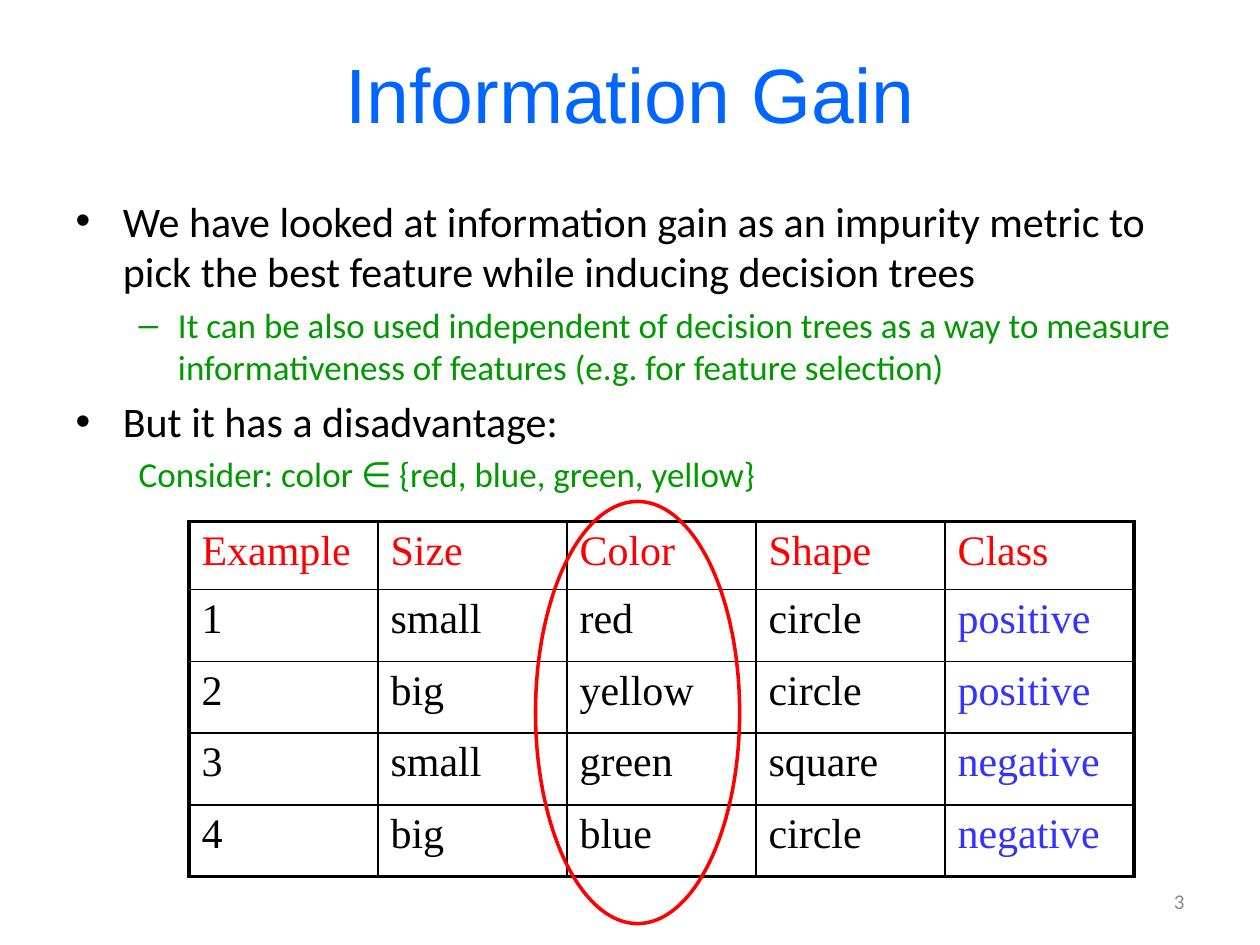
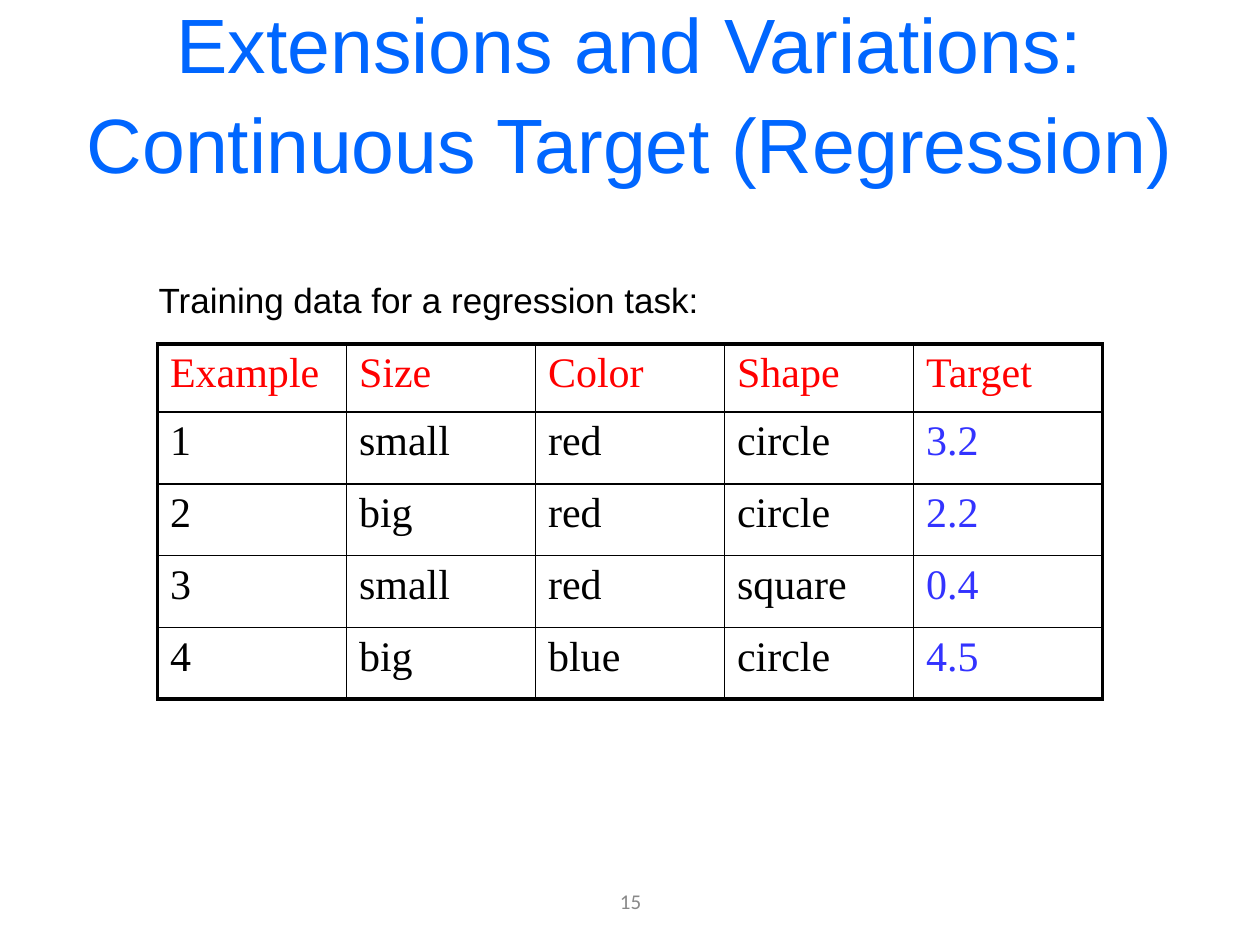
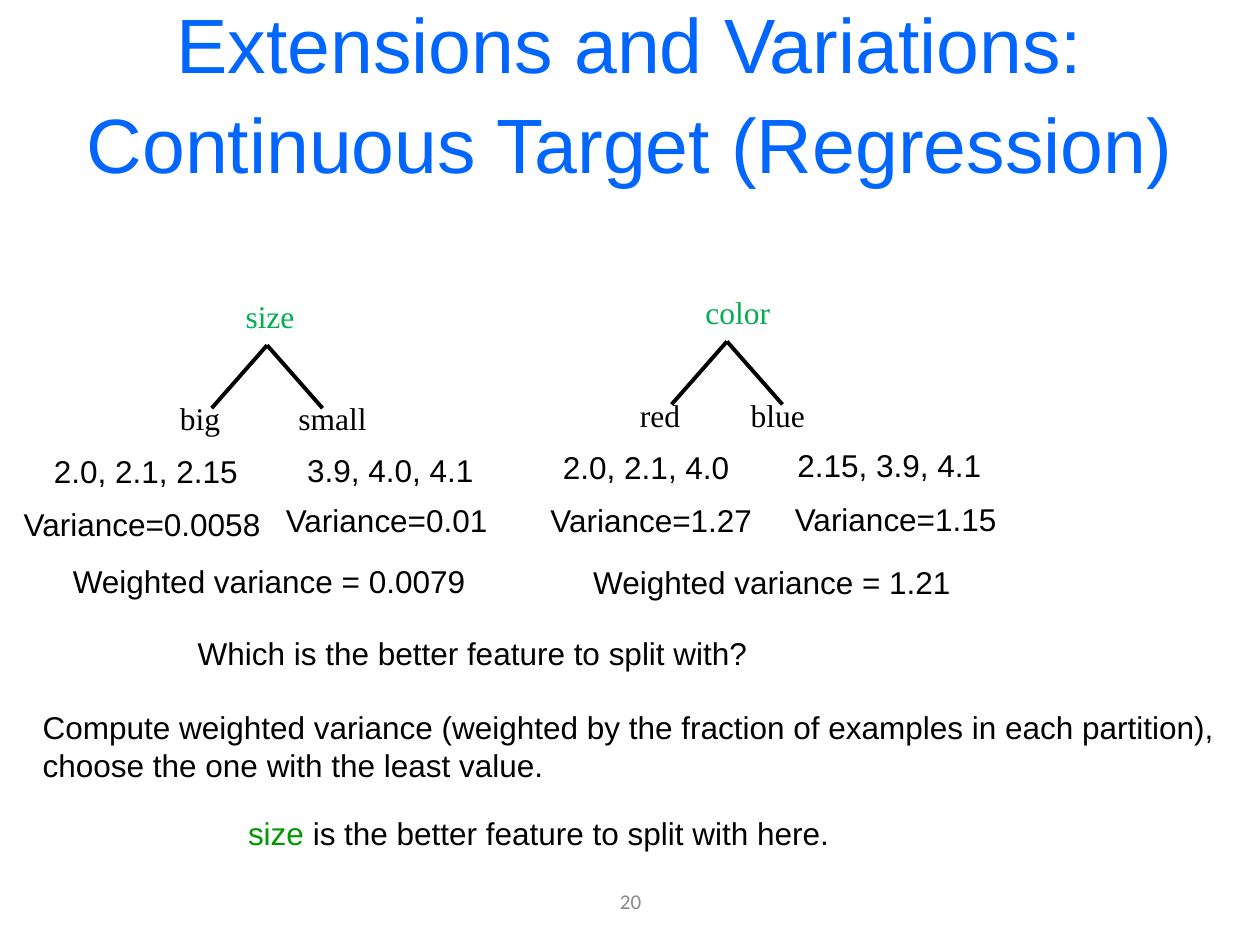
from dataclasses import dataclass

from lxml.etree import SubElement
from pptx import Presentation
from pptx.dml.color import RGBColor
from pptx.enum.shapes import MSO_CONNECTOR, MSO_SHAPE
from pptx.enum.text import MSO_ANCHOR, MSO_AUTO_SIZE, PP_ALIGN
from pptx.oxml import parse_xml
from pptx.oxml.ns import nsdecls, qn
from pptx.util import Inches, Pt


@dataclass(frozen=True)
class Theme:
    title_blue: RGBColor = RGBColor(0x00, 0x66, 0xFF)
    black: RGBColor = RGBColor(0x00, 0x00, 0x00)
    detail_green: RGBColor = RGBColor(0x00, 0x99, 0x00)
    feature_green: RGBColor = RGBColor(0x00, 0xB0, 0x50)
    red: RGBColor = RGBColor(0xFF, 0x00, 0x00)
    outcome_blue: RGBColor = RGBColor(0x33, 0x33, 0xFF)
    number_grey: RGBColor = RGBColor(0x89, 0x89, 0x89)
    sans: str = "Arial"
    body: str = "Calibri"
    serif: str = "Times New Roman"
    title_size: int = 44
    large: int = 24
    medium: int = 20
    small: int = 18
    tiny: int = 12
    thick: float = 2.25
    thin: float = 1


THEME = Theme()
SLIDE_W, SLIDE_H = 10, 7.5
MARGIN = SLIDE_W * 0.05
COLUMN = SLIDE_W * 0.15


def style_runs(paragraph, font_name, size, color):
    for run in paragraph.runs:
        run.font.name = font_name
        run.font.size = Pt(size)
        run.font.color.rgb = color


def add_text(slide, text, left, top, width, height=0.4, font_name=THEME.sans,
             size=THEME.small, color=THEME.black):
    box = slide.shapes.add_textbox(*map(Inches, (left, top, width, height)))
    frame = box.text_frame
    frame.text = text
    frame.word_wrap = False
    frame.auto_size = MSO_AUTO_SIZE.SHAPE_TO_FIT_TEXT
    for paragraph in frame.paragraphs:
        style_runs(paragraph, font_name, size, color)
    return frame


deck = Presentation()
deck.slide_width, deck.slide_height = Inches(SLIDE_W), Inches(SLIDE_H)
content_layout, title_only_layout = deck.slide_layouts[1], deck.slide_layouts[5]

# Titles and page numbers
regression_title = "Extensions and Variations: Continuous Target (Regression)"
slides = []
for layout, heading, number, number_left, number_width, number_align in [
    (content_layout, "Information Gain", "3", 7.17, 2.33, PP_ALIGN.RIGHT),
    (title_only_layout, regression_title, "15", 3.42, 3.17, PP_ALIGN.CENTER),
    (title_only_layout, regression_title, "20", 3.42, 3.17, PP_ALIGN.CENTER),
]:
    slide = deck.slides.add_slide(layout)
    slides.append(slide)
    title = slide.shapes.title
    title.left, title.top = Inches(MARGIN), Inches(0.08)
    title.width, title.height = Inches(SLIDE_W - 2 * MARGIN), Inches(1.25)
    title.text_frame.text = heading
    title.text_frame.auto_size = MSO_AUTO_SIZE.NONE
    title.text_frame.vertical_anchor = MSO_ANCHOR.MIDDLE
    heading_line = title.text_frame.paragraphs[0]
    heading_line.alignment = PP_ALIGN.CENTER
    heading_line.line_spacing = 1.08
    style_runs(heading_line, THEME.sans, THEME.title_size, THEME.title_blue)

    page = add_text(slide, number, number_left, 6.95, number_width,
                    font_name=THEME.body, size=THEME.tiny, color=THEME.number_grey)
    page.auto_size = MSO_AUTO_SIZE.NONE
    page.word_wrap = True
    page.vertical_anchor = MSO_ANCHOR.MIDDLE
    page.paragraphs[0].alignment = number_align

gain_slide, training_slide, split_slide = slides

# Information gain: bullets
points = gain_slide.placeholders[1]
points.left, points.top = Inches(MARGIN), Inches(1.5)
points.width, points.height = Inches(SLIDE_W - 2 * MARGIN), Inches(5.67)
points.text_frame.text = "\n".join([
    "We have looked at information gain as an impurity metric to pick the best "
    "feature while inducing decision trees",
    "It can be also used independent of decision trees as a way to measure "
    "informativeness of features (e.g. for feature selection)",
    "But it has a disadvantage:",
    "Consider: color ∈ {red, blue, green, yellow}",
])
points.text_frame.auto_size = MSO_AUTO_SIZE.NONE
for point, level in zip(points.text_frame.paragraphs, (0, 1, 0, 1)):
    point.level = level
    style_runs(point, THEME.body, (THEME.large, THEME.medium)[level],
               (THEME.black, THEME.detail_green)[level])
points.text_frame.paragraphs[0].space_before = Pt(0)
consider = points.text_frame.paragraphs[-1]._p.get_or_add_pPr()
consider.set("marL", str(Inches(0.5)))
consider.set("indent", "0")
SubElement(consider, qn("a:buNone"))

# Example tables
color_rows = [
    ("Example", "Size", "Color", "Shape", "Class"),
    ("1", "small", "red", "circle", "positive"),
    ("2", "big", "yellow", "circle", "positive"),
    ("3", "small", "green", "square", "negative"),
    ("4", "big", "blue", "circle", "negative"),
]
target_rows = [
    ("Example", "Size", "Color", "Shape", "Target"),
    ("1", "small", "red", "circle", "3.2"),
    ("2", "big", "red", "circle", "2.2"),
    ("3", "small", "red", "square", "0.4"),
    ("4", "big", "blue", "circle", "4.5"),
]
for slide, rows, left, top in [
    (gain_slide, color_rows, COLUMN, 4.14),
    (training_slide, target_rows, 1.25, 2.73),
]:
    last = len(rows) - 1
    examples = slide.shapes.add_table(
        len(rows), len(rows[0]), Inches(left), Inches(top),
        Inches(COLUMN * len(rows[0])), Inches(2.81)).table
    examples.first_row = examples.horz_banding = False
    for column in examples.columns:
        column.width = Inches(COLUMN)
    for r, values in enumerate(rows):
        examples.rows[r].height = Inches(0.57 if r else 0.54)
        for c, value in enumerate(values):
            cell = examples.cell(r, c)
            cell.text_frame.text = value
            if r == 0:
                color = THEME.red
            elif c == len(values) - 1:
                color = THEME.outcome_blue
            else:
                color = THEME.black
            style_runs(cell.text_frame.paragraphs[0], THEME.serif, THEME.large, color)
            cell.fill.background()
            # Thick outer frame, thin inner rules
            outer = {"L": c == 0, "R": c == len(values) - 1, "T": r == 0, "B": r == last}
            for order, (side, is_outer) in enumerate(outer.items()):
                weight = Pt(THEME.thick if is_outer else THEME.thin)
                cell._tc.get_or_add_tcPr().insert(order, parse_xml(
                    f'<a:ln{side} {nsdecls("a")} w="{weight}"><a:solidFill>'
                    f'<a:srgbClr val="{THEME.black}"/></a:solidFill></a:ln{side}>'))

# Ring around the color column
color_ring = gain_slide.shapes.add_shape(
    MSO_SHAPE.OVAL, *map(Inches, (4.25, 3.98, 1.62, 3.35)))
color_ring.shadow.inherit = False
color_ring.fill.background()
color_ring.line.color.rgb = THEME.red
color_ring.line.width = Pt(2)

# Regression data caption
add_text(training_slide, "Training data for a regression task:", 1.16, 2.16, 4.52, 0.44,
         size=THEME.medium)

# Candidate splits: feature, its width, tree apex, then (value, width, offset) per branch
for feature, feature_width, apex_x, apex_y, branches in [
    ("size", 0.59, 2.12, 2.74, [("big", 0.52, -0.79), ("small", 0.74, 0.15)]),
    ("color", 0.72, 5.77, 2.71, [("red", 0.52, -0.79), ("blue", 0.63, 0.09)]),
]:
    add_text(split_slide, feature, apex_x - 0.27, apex_y - 0.43, feature_width, 0.41,
             font_name=THEME.serif, color=THEME.feature_green)
    for direction, (value, width, offset) in zip((-1, 1), branches):
        add_text(split_slide, value, apex_x + offset, apex_y + 0.38, width, 0.41,
                 font_name=THEME.serif)
        branch = split_slide.shapes.add_connector(
            MSO_CONNECTOR.STRAIGHT, Inches(apex_x), Inches(apex_y),
            Inches(apex_x + direction * 0.44), Inches(apex_y + 0.5))
        branch.line.color.rgb = THEME.black
        branch.line.width = Pt(THEME.thick)
        SubElement(branch._element.spPr, qn("a:effectLst"))

# Targets, variances and conclusion
for text, left, top, width in [
    ("2.0, 2.1, 2.15", 0.33, 3.54, 1.67),
    ("3.9, 4.0, 4.1", 2.34, 3.53, 1.53),
    ("2.0, 2.1, 4.0", 4.37, 3.51, 1.53),
    ("2.15, 3.9, 4.1", 6.23, 3.49, 1.67),
    ("Variance=0.0058", 0.09, 3.96, 2.1),
    ("Variance=0.01", 2.17, 3.93, 1.82),
    ("Variance=1.27", 4.27, 3.93, 1.82),
    ("Variance=1.15", 6.21, 3.92, 1.82),
    ("Weighted variance = 0.0079", 0.48, 4.41, 3.35),
    ("Weighted variance = 1.21", 4.61, 4.42, 3.14),
    ("Which is the better feature to split with?", 1.47, 4.98, 4.61),
]:
    add_text(split_slide, text, left, top, width)
add_text(split_slide,
         "Compute weighted variance (weighted by the fraction of examples in each partition),\n"
         "choose the one with the least value.", 0.24, 5.57, 9.65, 0.71)
answer = add_text(split_slide, "size", 1.87, 6.41, 5.05, color=THEME.detail_green)
answer.word_wrap = True
reason = answer.paragraphs[0].add_run()
reason.text = " is the better feature to split with here."
reason.font.name = THEME.sans
reason.font.size = Pt(THEME.small)
reason.font.color.rgb = THEME.black

deck.save("out.pptx")
